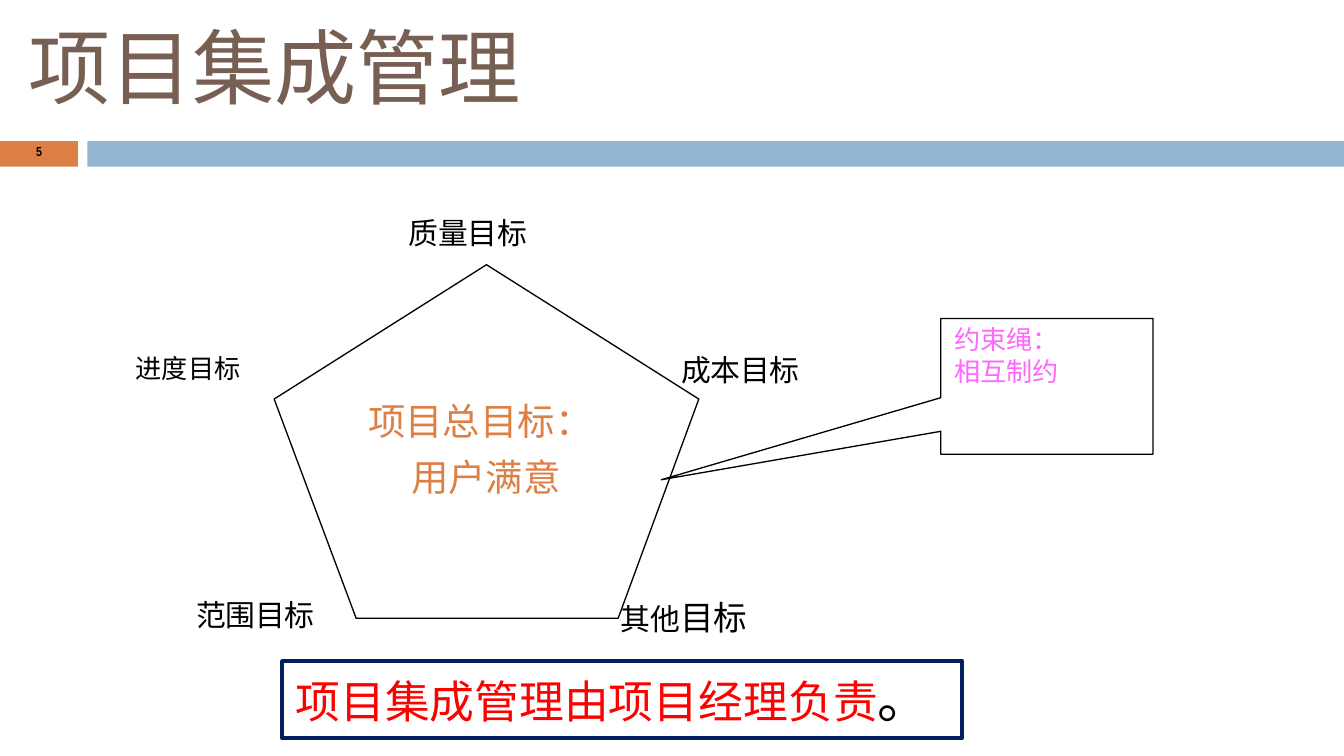
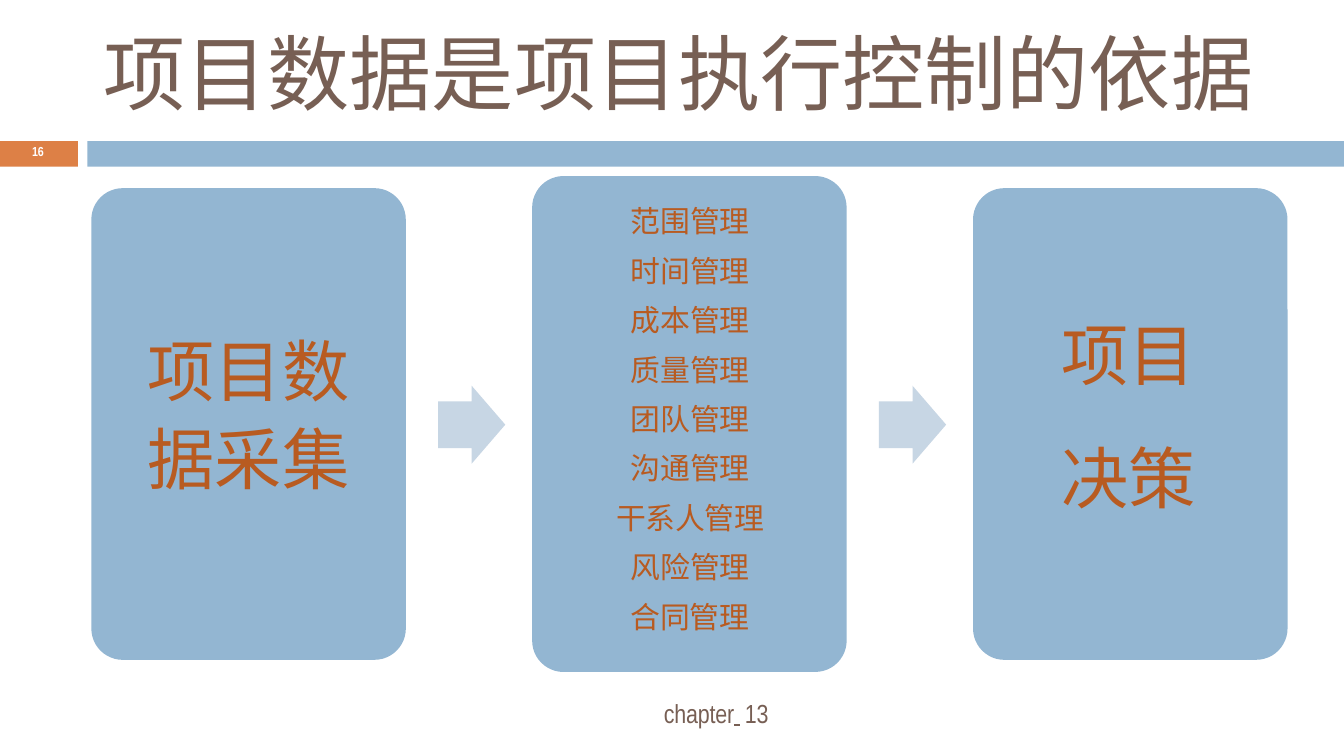
"""Two slides on project integration management and project data."""
from lxml.etree import SubElement
from pptx import Presentation
from pptx.dml.color import RGBColor
from pptx.enum.shapes import MSO_SHAPE as Preset
from pptx.enum.text import MSO_ANCHOR as Anchor, PP_ALIGN as Align
from pptx.oxml.ns import qn
from pptx.util import Inches, Pt

COLORS = {
    "title": "775F54", "orange": "DD8046", "blue": "93B6D2", "arrow": "C7D6E4",
    "rust": "B85B21", "black": "000000", "white": "FFFFFF", "pink": "FF66FF",
    "red": "FF0000", "navy": "001F5F",
}
SC, JP, NARROW = "Noto Sans CJK SC", "Noto Sans CJK JP", "Arial Narrow"


def paint(shape, fill=None, line=None, width=0.72):
    """Give a shape its fill and outline, or none, and no shadow."""
    shape.shadow.inherit = False
    if fill:
        shape.fill.solid()
        shape.fill.fore_color.rgb = RGBColor.from_string(COLORS[fill])
    else:
        shape.fill.background()
    if line:
        shape.line.color.rgb = RGBColor.from_string(COLORS[line])
        shape.line.width = Pt(width)
    else:
        shape.line.fill.background()
    return shape


def write(shape, lines, size, color, face=SC, align=Align.LEFT, spacing=None,
          left=0.01, top=0.01, track=0, hanging=0):
    """Write lines, each a text or a list of (text, format changes) runs."""
    frame = shape.text_frame
    frame_format = {
        "word_wrap": True, "vertical_anchor": Anchor.TOP,
        "margin_left": Inches(left), "margin_top": Inches(top),
        "margin_right": 0, "margin_bottom": 0,
    }
    for key, value in frame_format.items():
        setattr(frame, key, value)
    for index, line in enumerate(lines):
        paragraph = frame.add_paragraph() if index else frame.paragraphs[0]
        paragraph.alignment = align
        paragraph.line_spacing = spacing
        if hanging:
            indents = paragraph._p.get_or_add_pPr()
            indents.set("marL", str(Inches(hanging)))
            indents.set("indent", str(-Inches(hanging)))
        for text, changes in [(line, {})] if isinstance(line, str) else line:
            run = paragraph.add_run()
            run.text = text
            look = {"size": size, "color": color, "track": track, **changes}
            run.font.color.rgb = RGBColor.from_string(COLORS[look.pop("color")])
            spread = look.pop("track")
            look.update(size=Pt(look["size"]), name=face)
            for key, value in look.items():
                setattr(run.font, key, value)
            properties = run.font._element
            SubElement(properties, qn("a:ea")).set("typeface", face)
            if spread:
                properties.set("spc", str(round(spread * 100)))


deck = Presentation()
deck.slide_width, deck.slide_height = Inches(10), Inches(10 * 9 / 16)

pages = []
for title, title_box, indent, number, number_box, number_color in [
    ("项目集成管理", (0.2, 0.11, 3.7, 0.76), 0.01, "5", (0.26, 1.06, 0.07, 0.14), "black"),
    ("项目数据是项目执行控制的依据", (0.65, 0.16, 8.7, 0.76), 0.12, "16",
     (0.23, 1.06, 0.11, 0.14), "white"),
]:
    page = deck.slides.add_slide(deck.slide_layouts[6])
    for left, width, color in [(0, 0.58, "orange"), (0.65, 9.35, "blue")]:
        band = page.shapes.add_shape(
            Preset.RECTANGLE, Inches(left), Inches(1.05), Inches(width), Inches(0.19))
        paint(band, color)
    heading = page.shapes.add_textbox(*map(Inches, title_box))
    write(heading, [title], 44, "title", left=indent)
    page_number = page.shapes.add_textbox(*map(Inches, number_box))
    write(page_number, [[(number, {"bold": True})]], 7, number_color, NARROW, track=-0.1)
    pages.append(page.shapes)
integration, data_flow = pages

for goal, box, size, track in [
    ("质量目标", (3.03, 1.59, 0.91, 0.29), 16, -0.1),
    ("进度目标", (1, 2.61, 0.81, 0.26), 14, 0),
    ("成本目标", (5.06, 2.61, 0.91, 0.29), 16, -0.1),
    ([("其他", {}), ("目标", {"size": 18})], (4.61, 4.43, 0.97, 0.33), 16, -0.1),
    ("范围目标", (1.45, 4.43, 0.91, 0.29), 16, -0.1),
]:
    write(integration.add_textbox(*map(Inches, box)), [goal], size, "black", track=track)

pentagon = [(2.04, 2.97), (3.62, 1.97), (5.2, 2.97), (4.6, 4.6), (2.65, 4.6)]
callout = [(7, 2.37), (8.58, 2.37), (8.58, 3.38), (7, 3.38), (7, 3.21), (4.92, 3.57), (7, 2.96)]
for corners in (pentagon, callout):
    points = [(Inches(x), Inches(y)) for x, y in corners]
    outline = integration.build_freeform(*points[0])
    outline.add_line_segments(points[1:], close=True)
    paint(outline.convert_to_shape(), line="black")

overall_goal = integration.add_textbox(*map(Inches, (2.73, 2.87, 1.7, 0.86)))
write(overall_goal, ["项目总目标： 用户满意"], 20, "orange", spacing=1.25, hanging=0.32)
constraint = integration.add_textbox(*map(Inches, (7.09, 2.4, 0.81, 0.5)))
write(constraint, ["约束绳：", "相互制约"], 14, "pink")
responsibility = integration.add_shape(
    Preset.RECTANGLE, *map(Inches, (2.1, 4.92, 5.06, 0.57)))
paint(responsibility, line="navy", width=2.28)
write(responsibility, [[("项目集成管理由项目经理负责", {}),
                        ("。", {"size": 28, "color": "black", "track": -0.1})]],
      24, "red", left=0.1, top=0.04)

AREAS = "范围管理 时间管理 成本管理 质量管理 团队管理 沟通管理 干系人管理 风险管理 合同管理"
STEP = 3.28
for index, (top, height, text, box, style) in enumerate([
    (1.4, 3.51, "项目数 据采集", (1.09, 2.39, 1.53, 1.34),
     {"size": 36, "spacing": 1.09}),
    (1.31, 3.69, AREAS, (4.56, 1.4, 1.14, 3.34),
     {"size": 16, "spacing": 1.38, "face": JP, "align": Align.CENTER, "track": -0.1}),
    (1.4, 3.51, "项目 决策", (7.89, 2.01, 1.03, 1.85),
     {"size": 36, "spacing": 1.52}),
]):
    if index:
        arrow = data_flow.add_shape(
            Preset.RIGHT_ARROW, Inches(3.26 + STEP * (index - 1)), Inches(2.87),
            Inches(0.5), Inches(0.58))
        arrow.adjustments[0] = 0.6
        paint(arrow, "arrow")
    stage = data_flow.add_shape(
        Preset.ROUNDED_RECTANGLE, Inches(0.68 + STEP * index), Inches(top),
        Inches(2.34), Inches(height))
    stage.adjustments[0] = 0.1
    paint(stage, "blue")
    write(data_flow.add_textbox(*map(Inches, box)), [text], color="rust", **style)

chapter = data_flow.add_textbox(*map(Inches, (4.93, 5.18, 0.91, 0.26)))
write(chapter, [[("chapter", {}), (" ", {"underline": True, "track": 2.5}), ("13", {})]],
      14, "title", NARROW, track=-0.1)

deck.save("out.pptx")
